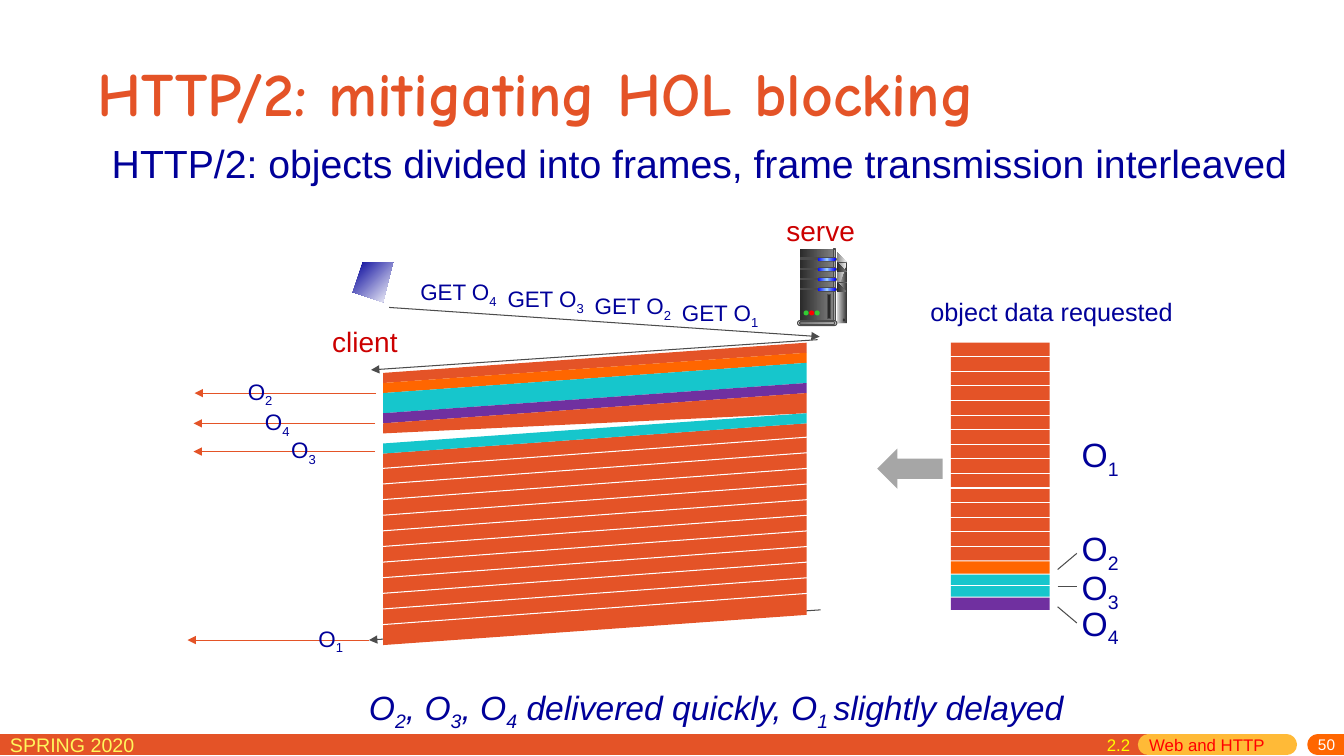
from lxml import etree
from pptx import Presentation
from pptx.dml.color import RGBColor as Rgb
from pptx.enum.shapes import MSO_CONNECTOR as Link, MSO_SHAPE as Kind
from pptx.enum.text import MSO_ANCHOR as Anchor, PP_ALIGN as Align
from pptx.oxml.ns import qn
from pptx.util import Inches, Pt

RED, ORANGE, TEAL = Rgb(0xE4, 0x53, 0x27), Rgb(0xFF, 0x66, 0x00), Rgb(0x16, 0xC6, 0xCC)
PURPLE, NAVY, CRIMSON = Rgb(0x70, 0x30, 0xA0), Rgb(0x00, 0x00, 0x99), Rgb(0xCC, 0x00, 0x00)
WHITE, SILVER, AMBER = Rgb(0xFF, 0xFF, 0xFF), Rgb(0xA6, 0xA6, 0xA6), Rgb(0xFF, 0xBA, 0x37)
GRAPHITE, COAL, SOOT = Rgb(0x4C, 0x4C, 0x4C), Rgb(0x29, 0x29, 0x29), Rgb(0x33, 0x33, 0x33)
GREY, PALE, STEEL = Rgb(0x80, 0x80, 0x80), Rgb(0xDD, 0xDD, 0xDD), Rgb(0x77, 0x77, 0x77)
MIST, SNOW = Rgb(0xB2, 0xB2, 0xB2), Rgb(0xF8, 0xF8, 0xF8)
BLUE, SKY = Rgb(0x00, 0x00, 0xFF), Rgb(0x99, 0xCC, 0xFF)
GREEN, SIGNAL = Rgb(0x33, 0xCC, 0x33), Rgb(0xFF, 0x00, 0x00)
LEMON, YELLOW = Rgb(0xFF, 0xF6, 0x5C), Rgb(0xFF, 0xFF, 0x00)

deck = Presentation()
deck.slide_width, deck.slide_height = Inches(13.33), Inches(7.5)
page = deck.slides.add_slide(deck.slide_layouts[6])
CELL = deck.slide_height / 75  # square grid: 75 rows, 133.3 columns


def draw(kind, *grid, fill=None, line=None, weight=0.75, arrow=False, angle=0):
    """Kind "line" takes two ends, "outline" takes corners, a preset takes its frame."""
    if kind == "outline":
        builder = page.shapes.build_freeform(*grid[0], scale=CELL)
        builder.add_line_segments(grid[1:], close=True)
        shape = builder.convert_to_shape()
    else:
        frame = [round(n * CELL) for n in grid]
        if kind == "line":
            shape = page.shapes.add_connector(Link.STRAIGHT, *frame)
            etree.SubElement(shape._element.spPr, qn("a:effectLst"))
        else:
            shape = page.shapes.add_shape(kind, *frame)
    if kind != "line":
        shape.shadow.inherit = False
        if isinstance(fill, list):
            shape.fill.gradient()
            shape.fill.gradient_angle = angle
            stops = shape._element.spPr.find(".//" + qn("a:gsLst"))
            stops.clear()
            for i, color in enumerate(fill):
                stop = etree.SubElement(stops, qn("a:gs"), pos=str(100000 * i // (len(fill) - 1)))
                etree.SubElement(stop, qn("a:srgbClr"), val=str(color))
        else:
            shape.fill.solid()
            shape.fill.fore_color.rgb = fill
        if kind == Kind.ROUNDED_RECTANGLE:
            shape.adjustments[0] = 0.5
    if line is None:
        shape.line.fill.background()
    else:
        shape.line.color.rgb = line
        shape.line.width = Pt(weight)
    if arrow:
        etree.SubElement(shape.line._get_or_add_ln(), qn("a:tailEnd"), type="triangle")
    return shape


def write(left, top, width, height, *spans, size=16, color=NAVY, font="Arial",
          align=Align.LEFT, anchor=Anchor.TOP, wrap=True, indent=0):
    """Every second span is a subscript."""
    box = page.shapes.add_textbox(*[round(n * CELL) for n in (left, top, width, height)])
    frame = box.text_frame
    frame.word_wrap, frame.vertical_anchor = wrap, anchor
    para = frame.paragraphs[0]
    para.alignment = align
    if indent:
        para.line_spacing = 0.9
        para._p.get_or_add_pPr().set("marL", str(round(indent * CELL)))
    for i, words in enumerate(spans):
        span = para.add_run()
        span.text = words
        span.font.size, span.font.name = Pt(size), font
        span.font.color.rgb = color
        if i % 2:
            span.font._element.set("baseline", "-25000")
    return frame


# Footer bar
for start, end, color in [(0, 113.9, RED), (113.9, 127.6, AMBER), (130.7, 133.3, ORANGE)]:
    bar = draw("line", start, 73.9, end, 73.9, line=color, weight=15)
    bar.line._get_or_add_ln().set("cap", "rnd")
write(0, 72.2, 22.9, 3.1, "SPRING 2020", size=14, color=LEMON)
number = write(107.5, 73.2, 25.9, 1.8, "50", size=11, color=WHITE,
               align=Align.RIGHT, anchor=Anchor.MIDDLE)
number.margin_top, number.margin_bottom = 0, Inches(0.05)

# Title and subtitle
title = write(8.7, 4.2, 115, 9.8, "HTTP/2: mitigating HOL blocking", size=44, color=RED,
              font="Comic Neue", anchor=Anchor.MIDDLE)
title.paragraphs[0].runs[0].font.bold = True
write(8.7, 13.9, 121.6, 5.5,
      "HTTP/2: objects divided into frames, frame transmission interleaved", size=28, indent=1.4)
for name, left, top in [("client", 31.7, 31.7), ("server", 76.9, 20.7)]:
    write(left, top, 9, 4.3, name, size=20, color=CRIMSON, align=Align.CENTER, wrap=False)

# Server: side, front and edge
draw("outline", (82.9, 24.8), (83.7, 25.6), (83.7, 31.6), (82.8, 31.9), fill=[PALE, SOOT])
draw(Kind.RECTANGLE, 79.3, 24.7, 3.4, 7.2, fill=[COAL, GREY])
draw("outline", (83, 25.2), (83.5, 25.7), (83.1, 29), (83, 31.7), fill=[GREY, SNOW])
draw(Kind.RECTANGLE, 82.7, 24.7, 0.2, 7.2, fill=[SOOT, PALE, SOOT], line=GRAPHITE)

# Server: four drive rows
for row in range(4):
    top = 25.5 + row
    draw(Kind.RECTANGLE, 79.4, top + 0.1, 1.9, 0.15, fill=GRAPHITE, line=GRAPHITE)
    draw(Kind.ROUNDED_RECTANGLE, 81.1, top, 1.9, 0.45, fill=GRAPHITE)
    draw(Kind.ROUNDED_RECTANGLE, 81.1, top + 0.05, 1.8, 0.3, fill=[BLUE, SKY, BLUE])
    draw("outline", (82.9, top), (83.7, top + 0.45), (83.7, top + 0.7), (82.9, top + 0.3),
         fill=[COAL, GREY])

# Server: base, lamps and slot
draw(Kind.OVAL, 83.6, 31.6, 0.2, 0.3, fill=SOOT)
draw("outline", (82.9, 31.9), (82.9, 32.2), (83.7, 31.9), (83.7, 31.6), fill=SOOT)
draw(Kind.ROUNDED_RECTANGLE, 79.1, 31.8, 3.9, 0.5, fill=PALE, line=GRAPHITE)
draw(Kind.ROUNDED_RECTANGLE, 79.3, 31.9, 3.5, 0.3, fill=[STEEL, MIST], line=GRAPHITE)
for i, color in enumerate([GREEN, SIGNAL, GREEN]):
    draw(Kind.OVAL, 79.7 + 0.55 * i, 30.8, 0.5, 0.5, fill=color)
draw(Kind.RECTANGLE, 82.1, 29.2, 0.3, 2.4, fill=COAL, line=GRAPHITE)

# Client screen
draw("outline", (39, 25.8), (35.6, 26), (35, 28.8), (38.1, 29.6), fill=[NAVY, WHITE], angle=315)

# Requests
draw("line", 38.6, 30.5, 81.3, 33.4, line=GRAPHITE, arrow=True)
for n in range(1, 5):
    write(75.3 - 8.65 * n, 29.9 - 0.7 * n, 9.8, 3.7, "GET O", str(n))

# Reply: interleaved frames, then the rest of object 1
draw("line", 81.4, 60.5, 36.6, 63.5, line=GRAPHITE, arrow=True)
draw("line", 81.1, 33.7, 36.8, 36.7, line=GRAPHITE, arrow=True)
draw("outline", (80.4, 41.9), (38.1, 44.9), (38.1, 63.6), (80.3, 60.7), fill=RED)
for i, color in enumerate([RED, ORANGE, TEAL, PURPLE, RED, TEAL]):
    top = 33.7 + 1.4 * i
    draw("outline", (80.45, top), (38.1, top + 2.9), (38.1, top + 4.1), (80.45, top + 1.25),
         fill=color)
for i in range(11):
    left_end = 46.5 + 1.55 * i
    draw("line", 37.5, left_end, 81, left_end - 3.2, line=WHITE)

# Deliveries at the client
for n, start, left, row in [(2, 37.3, 23.6, 39), (4, 37.2, 25.3, 42),
                            (3, 37.2, 27.9, 44.8), (1, 36.6, 30.6, 63.5)]:
    draw("line", start, row, start - 18, row, line=RED, arrow=True)
    write(left, row - 2, 5, 3.7, "O", str(n))

# Requested object data
write(91.3, 28.9, 28, 4, "object data requested", size=18)
draw(Kind.LEFT_ARROW, 87, 44.5, 6.5, 4, fill=SILVER)
for top, height, color in [(34, 21.6, RED), (55.7, 1.2, ORANGE), (57, 2.2, TEAL),
                           (59.3, 1.2, PURPLE)]:
    draw(Kind.RECTANGLE, 94.3, top, 9.8, height, fill=color)
for row in [35.4 + 18.8 / 13 * i for i in range(14)] + [58.1]:
    draw("line", 93.7, row, 104.5, row, line=WHITE)
for n, top in enumerate([42.6, 51.9, 55.8, 59.3], 1):
    write(106.3, top, 7.8, 5, "O", str(n), size=24)
for start, end in [(56.5, 54.9), (58.2, 58.2), (60.2, 61.8)]:
    draw("line", 104.9, start, 106.8, end, line=GRAPHITE)

# Conclusion
closing = write(34.2, 67.7, 74.2, 5.5, "O", "2", ", O", "3", ", O", "4",
                " delivered quickly, O", "1 ", "slightly delayed", size=24, indent=1.4)
for span in closing.paragraphs[0].runs:
    span.font.italic = True

# Section label
label = write(108.8, 72.4, 21.3, 3.1, "2.2\t", size=12, color=YELLOW).paragraphs[0]
tabs = etree.SubElement(label._p.get_or_add_pPr(), qn("a:tabLst"))
etree.SubElement(tabs, qn("a:tab"), pos=str(round(4.2 * CELL)), algn="l")
section = label.add_run()
section.text = "Web and HTTP"
section.font.size, section.font.name = Pt(12), "Arial"
section.font.color.rgb = SIGNAL

deck.save("out.pptx")
